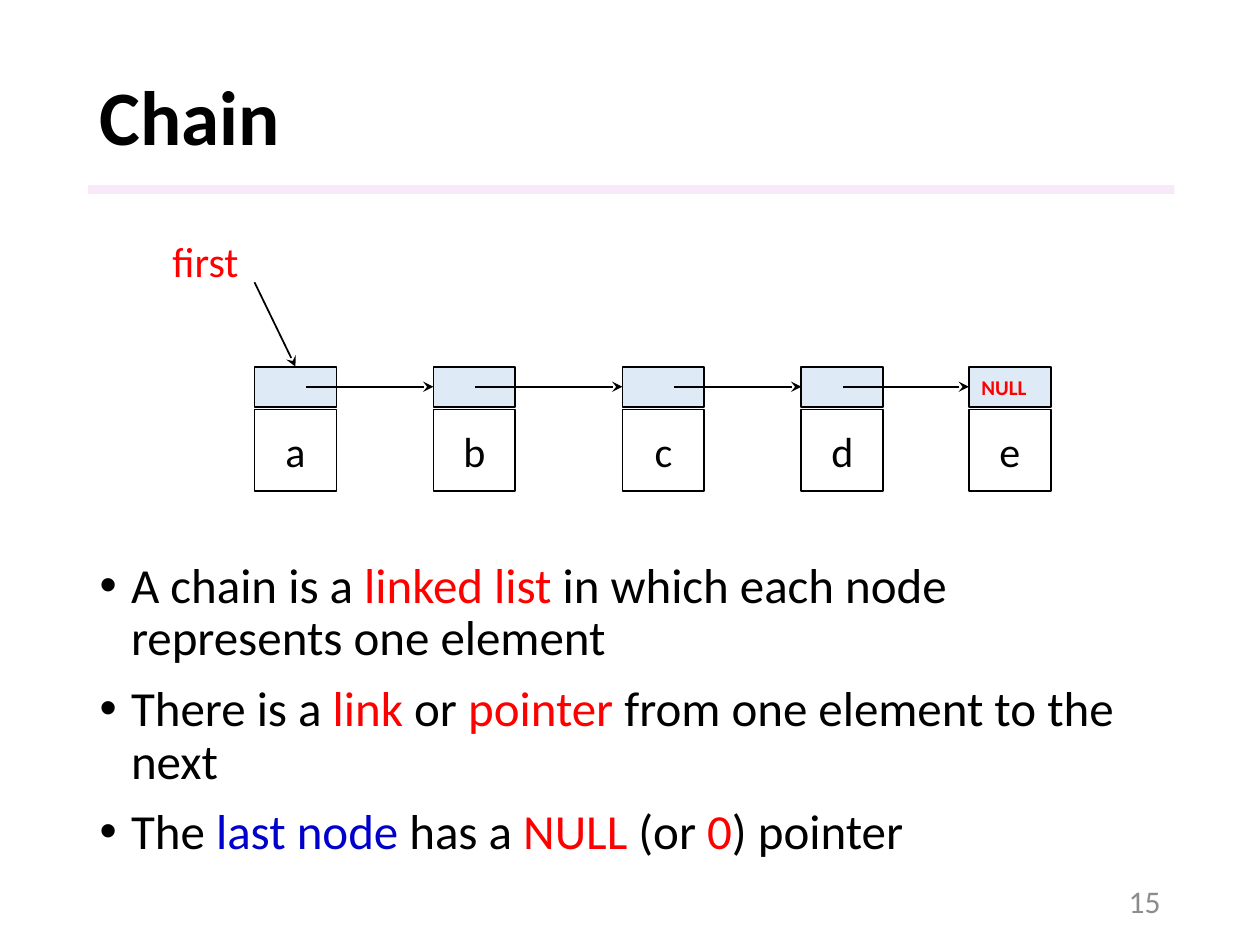
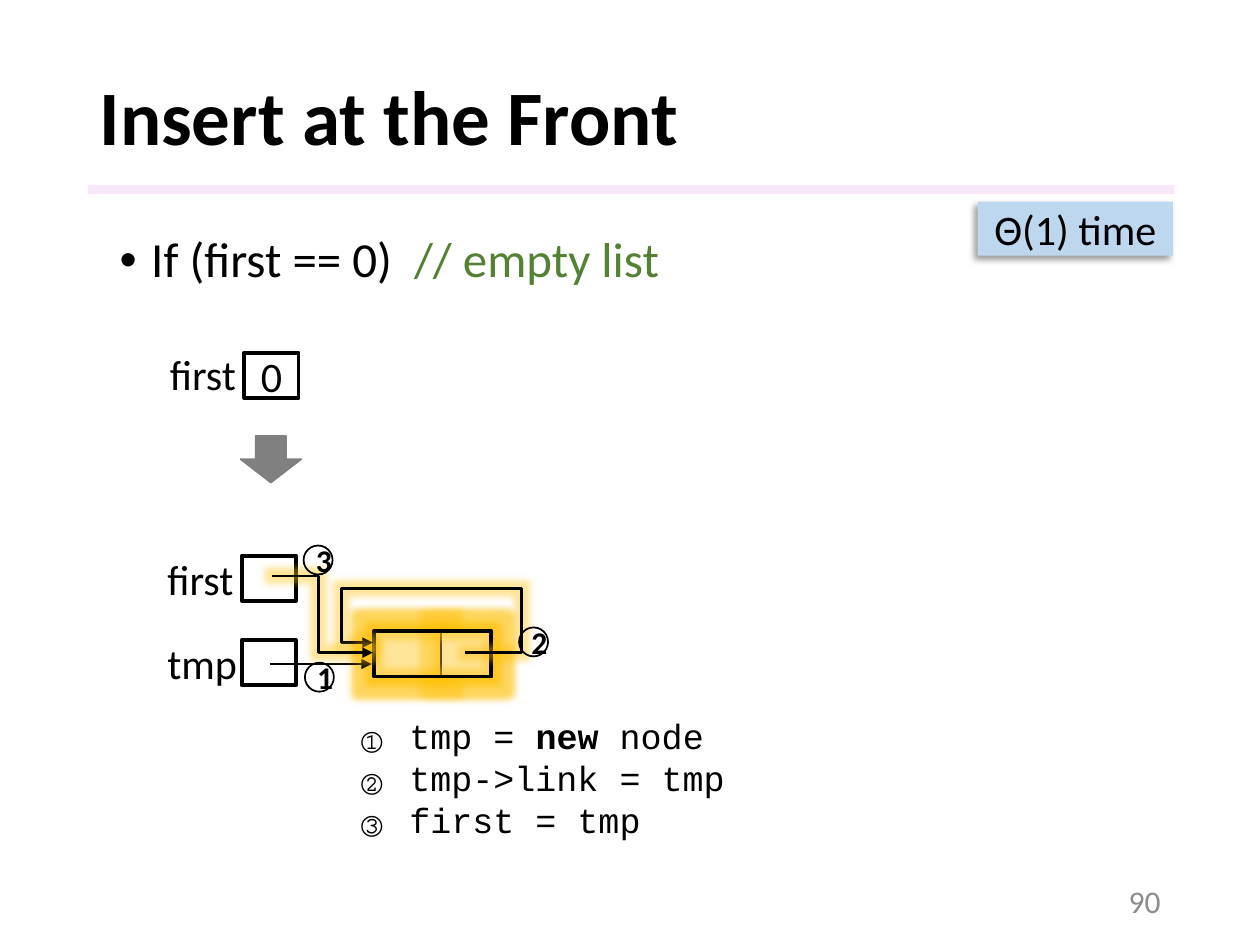
"""Build two slides on chains and on inserting a node at the front of a list."""
from dataclasses import dataclass

from lxml.etree import SubElement
from pptx import Presentation
from pptx.dml.color import RGBColor
from pptx.enum.shapes import MSO_CONNECTOR as Connector, MSO_SHAPE as Shape
from pptx.enum.text import MSO_ANCHOR as Anchor, MSO_AUTO_SIZE as AutoSize, PP_ALIGN as Align
from pptx.oxml.ns import qn
from pptx.util import Inches, Pt


@dataclass(frozen=True)
class Theme:
    text_font: str = "Calibri"
    code_font: str = "Courier New"
    ink: str = "000000"
    white: str = "FFFFFF"
    red: str = "FF0000"
    blue: str = "0000CC"
    green: str = "548235"
    gray: str = "808080"
    page_gray: str = "8C8C8C"
    band: str = "F3D2F4"
    link_fill: str = "DEEBF7"
    note_fill: str = "BDD7EE"
    glow: str = "FFC000"
    title_size: int = 44
    body_size: int = 28
    label_size: int = 24
    code_size: int = 20
    small_size: int = 18
    tiny_size: int = 12
    thin: float = 1
    medium: float = 1.5
    thick: float = 2.25


def add_xml(parent, tag, **attributes):
    return SubElement(parent, qn(tag), {name: str(value) for name, value in attributes.items()})


def add_colour(parent, colour, opacity):
    node = add_xml(parent, "a:srgbClr", val=colour)
    add_xml(node, "a:alpha", val=opacity * 1000)


class SlideBuilder:
    def __init__(self, deck, theme):
        self.deck = deck
        self.theme = theme
        self.page = None

    def start(self, title, number):
        theme = self.theme
        self.page = self.deck.slides.add_slide(self.deck.slide_layouts[1])
        band = self.block(0.7, 1.47, 8.62, 0.07, fill=theme.band)
        add_xml(band.element.spPr.find(qn("a:solidFill"))[0], "a:alpha", val=50000)
        heading = self.page.shapes.title
        self.place(heading, 0.69, 0.4, 8.62, 1.11)
        frame = heading.text_frame
        frame.vertical_anchor = Anchor.MIDDLE
        para = frame.paragraphs[0]
        para.alignment = Align.LEFT
        para.line_spacing = 0.9
        self.add_spans(para, [title], theme.title_size, bold=True)
        self.label(str(number), 7.06, 6.95, 2.25, 0.4, theme.small_size,
                   theme.page_gray, Align.RIGHT, Anchor.MIDDLE)

    def place(self, item, left, top, width, height):
        item.left, item.top = Inches(left), Inches(top)
        item.width, item.height = Inches(width), Inches(height)

    def add_spans(self, para, spans, size, colour=None, bold=False, font=None):
        for part in spans:
            words, own_colour, own_bold = part if isinstance(part, tuple) else (part, None, bold)
            span = para.add_run()
            span.text = words
            span.font.name = font or self.theme.text_font
            span.font.size = Pt(size)
            span.font.bold = own_bold
            span.font.color.rgb = RGBColor.from_string(own_colour or colour or self.theme.ink)

    def indent(self, para, inches):
        properties = para._p.get_or_add_pPr()
        properties.set("marL", str(Inches(inches)))
        properties.set("indent", str(-Inches(inches)))
        return properties

    def bullets(self, items, left, top, width, height):
        body = self.page.placeholders[1]
        self.place(body, left, top, width, height)
        frame = body.text_frame
        frame.auto_size = AutoSize.NONE
        for index, spans in enumerate(items):
            para = frame.add_paragraph() if index else frame.paragraphs[0]
            properties = self.indent(para, 0.25)
            add_xml(properties, "a:buFont", typeface="Arial")
            add_xml(properties, "a:buChar", char="•")
            para.line_spacing = 0.9
            para.space_before = Pt(10 if index else 0)
            self.add_spans(para, spans, self.theme.body_size)

    def code_steps(self, steps, left, top, width, height):
        box = self.page.shapes.add_textbox(*map(Inches, (left, top, width, height)))
        frame = box.text_frame
        frame.word_wrap = True
        for index, spans in enumerate(steps):
            para = frame.add_paragraph() if index else frame.paragraphs[0]
            add_xml(self.indent(para, 0.38), "a:buAutoNum", type="circleNumWdWhitePlain")
            self.add_spans(para, spans, self.theme.code_size, font=self.theme.code_font)

    def label(self, words, left, top, width, height, size=None, colour=None,
              align=Align.LEFT, anchor=Anchor.TOP):
        box = self.page.shapes.add_textbox(*map(Inches, (left, top, width, height)))
        frame = box.text_frame
        frame.word_wrap = True
        frame.vertical_anchor = anchor
        para = frame.paragraphs[0]
        para.alignment = align
        self.add_spans(para, [words], size or self.theme.label_size, colour)

    def block(self, left, top, width, height, kind=Shape.RECTANGLE, fill=None, line=None,
              weight=1, words=None, size=None, colour=None, bold=False, align=Align.CENTER):
        box = self.page.shapes.add_shape(kind, *map(Inches, (left, top, width, height)))
        self.finish(box, fill, line, weight)
        if words:
            frame = box.text_frame
            frame.word_wrap = True
            frame.vertical_anchor = Anchor.MIDDLE
            para = frame.paragraphs[0]
            para.alignment = align
            self.add_spans(para, [words], size or self.theme.label_size, colour, bold)
        return box

    def finish(self, item, fill, line, weight):
        item.shadow.inherit = False
        if fill:
            item.fill.solid()
            item.fill.fore_color.rgb = RGBColor.from_string(fill)
        else:
            item.fill.background()
        if line:
            item.line.color.rgb = RGBColor.from_string(line)
            item.line.width = Pt(weight)
        else:
            item.line.fill.background()

    def arrowhead(self, item, head):
        add_xml(item.element.spPr.find(qn("a:ln")), "a:tailEnd", type=head)

    def arrow(self, start, end, head, weight, target=None, side=0):
        link = self.page.shapes.add_connector(Connector.STRAIGHT, *map(Inches, (*start, *end)))
        link.line.color.rgb = RGBColor.from_string(self.theme.ink)
        link.line.width = Pt(weight)
        self.arrowhead(link, head)
        add_xml(link.element.spPr, "a:effectLst")
        if target is not None:
            link.end_connect(target, side)

    def route(self, points):
        corners = [(Inches(x), Inches(y)) for x, y in points]
        builder = self.page.shapes.build_freeform(*corners[0])
        builder.add_line_segments(corners[1:], close=False)
        outline = builder.convert_to_shape()
        self.finish(outline, None, self.theme.ink, self.theme.medium)
        self.arrowhead(outline, "triangle")
        self.glow(outline)

    def glow(self, item):
        effects = item.element.spPr.find(qn("a:effectLst"))
        add_colour(add_xml(effects, "a:glow", rad=Pt(8)), self.theme.glow, 40)

    def drop_shadow(self, item):
        effects = item.element.spPr.find(qn("a:effectLst"))
        shadow = add_xml(effects, "a:outerShdw", blurRad=Pt(4), dist=Pt(3),
                         dir=135 * 60000, algn="tr", rotWithShape=0)
        add_colour(shadow, self.theme.ink, 40)


def chain_slide(build):
    theme = build.theme
    build.start("Chain", 15)
    build.bullets([
        ["A chain is a ", ("linked list", theme.red, False),
         " in which each node represents one element"],
        ["There is a ", ("link", theme.red, False), " or ", ("pointer", theme.red, False),
         " from one element to the next"],
        ["The ", ("last node", theme.blue, False), " has a ", ("NULL ", theme.red, False),
         "(or ", ("0", theme.red, False), ") pointer"],
    ], 0.69, 4.4, 8.62, 2.83)

    side, link_top, link_height = 0.65, 2.91, 0.32
    link_middle = link_top + link_height / 2
    node_lefts = {"a": 2.02, "b": 3.44, "c": 4.94, "d": 6.36, "e": 7.69}
    links = []
    for letter, left in node_lefts.items():
        build.block(left, 3.25, side, side, line=theme.ink, words=letter)
        links.append(build.block(
            left, link_top, side, link_height, fill=theme.link_fill, line=theme.ink,
            words="NULL" if letter == "e" else None, size=theme.tiny_size,
            colour=theme.red, bold=True, align=Align.LEFT))
    lefts = list(node_lefts.values())
    for index, target in enumerate(links[1:]):
        start = lefts[index] + (0.33 if index % 2 else 0.41)
        build.arrow((start, link_middle), (lefts[index + 1], link_middle),
                    "stealth", theme.thin, target, 1)

    build.label("first", 1.27, 1.82, 1.83, 0.51, colour=theme.red)
    build.arrow((2.02, 2.24), (2.35, link_top), "stealth", theme.thin, links[0], 0)


def insert_slide(build):
    theme = build.theme
    build.start("Insert at the Front", 90)
    build.bullets([["If (first == 0)  ", ("// empty list", theme.green, False)]],
                  0.85, 1.82, 8.62, 5.58)
    note = build.block(7.76, 1.6, 1.55, 0.43, fill=theme.note_fill, words="Θ(1) time")
    build.drop_shadow(note)

    for name, label_left, label_top, box_left, box_top, value in (
            ("first", 1.25, 2.72, 1.94, 2.8, "0"),
            ("first", 1.23, 4.34, 1.92, 4.41, None),
            ("tmp", 1.23, 5.01, 1.92, 5.08, None)):
        build.label(name, label_left, label_top, 0.8, 0.5)
        build.block(box_left, box_top, 0.43, 0.36, line=theme.ink,
                    weight=theme.thick, words=value)
    build.block(1.91, 3.46, 0.48, 0.37, Shape.DOWN_ARROW, theme.gray, theme.gray)

    for left, width, fill, weight in ((2.97, 0.53, theme.white, theme.thin),
                                      (3.5, 0.4, theme.white, theme.thin),
                                      (2.97, 0.93, None, theme.thick)):
        part = build.block(left, 5.01, width, 0.36, fill=fill, line=theme.ink, weight=weight)
        build.glow(part)

    build.arrow((2.14, 5.27), (2.95, 5.27), "triangle", theme.medium)
    build.route([(3.69, 5.18), (4.14, 5.18), (4.14, 4.67), (2.71, 4.67),
                 (2.71, 5.1), (2.96, 5.1)])
    build.route([(2.16, 4.57), (2.53, 4.57), (2.53, 5.18), (2.96, 5.18)])
    for step, (left, top) in enumerate(((2.42, 5.26), (4.12, 4.98), (2.41, 4.33)), 1):
        build.block(left, top, 0.23, 0.23, Shape.OVAL, line=theme.ink, words=str(step),
                    size=theme.small_size, bold=True)

    build.code_steps([["tmp = ", ("new", None, True), " node"],
                      ["tmp->link = tmp"], ["first = tmp"]], 2.77, 5.62, 3.99, 1.45)


def main():
    deck = Presentation()
    deck.slide_width, deck.slide_height = Inches(10), Inches(7.5)
    build = SlideBuilder(deck, Theme())
    chain_slide(build)
    insert_slide(build)
    deck.save("out.pptx")


if __name__ == "__main__":
    main()
